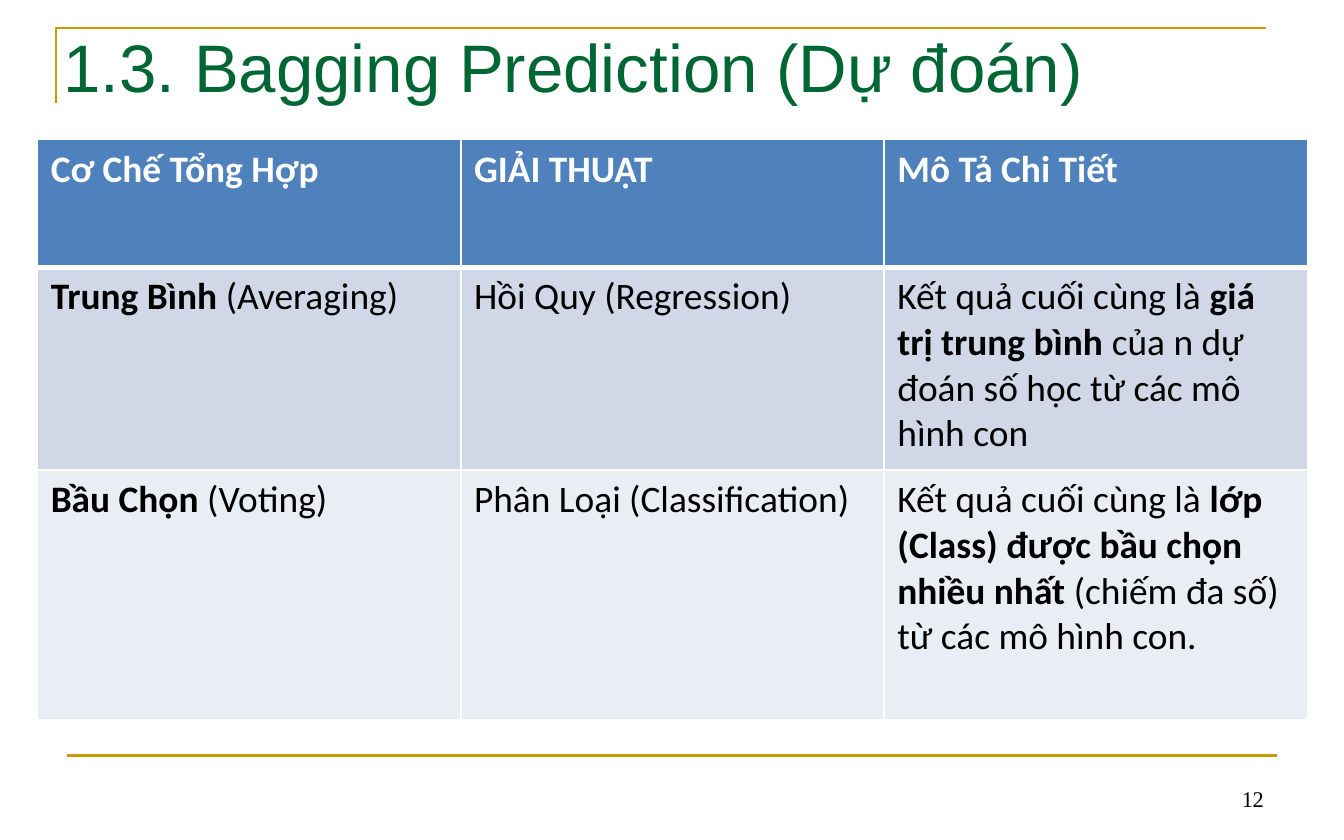
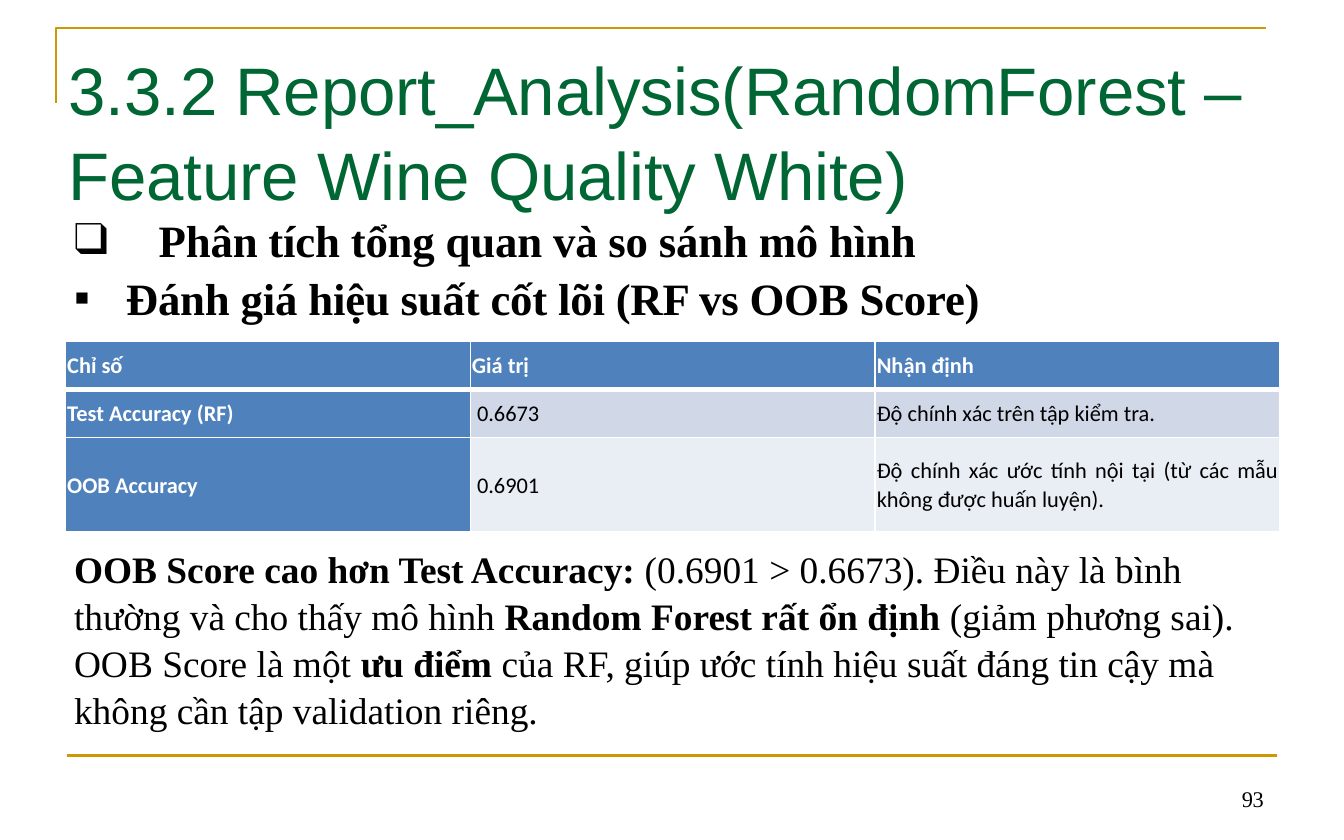
from lxml import etree
from pptx import Presentation
from pptx.dml.color import RGBColor
from pptx.enum.shapes import MSO_CONNECTOR
from pptx.enum.text import MSO_ANCHOR, PP_ALIGN
from pptx.oxml.ns import qn
from pptx.util import Cm, Pt

STRAIGHT = MSO_CONNECTOR.STRAIGHT
LEFT, JUSTIFY = PP_ALIGN.LEFT, PP_ALIGN.JUSTIFY
TOP, MIDDLE = MSO_ANCHOR.TOP, MSO_ANCHOR.MIDDLE

COLORS = {
    "rule": "CC9900",
    "title": "006633",
    "text": "000000",
    "white": "FFFFFF",
    "header": "4F81BD",
    "band_dark": "D0D8E8",
    "band_light": "E9EDF4",
}
TITLE_FONT, TABLE_FONT, BODY_FONT = "Arial", "Calibri", "Times New Roman"
BODY_SPACING = 1.05


def color(name):
    return RGBColor.from_string(COLORS[name])


def add_spans(para, text, font, size, ink="text", bold=False, tracking=0):
    """Text between asterisks is bold."""
    for index, piece in enumerate(text.split("*")):
        if not piece:
            continue
        span = para.add_run()
        span.text = piece
        span.font.name = font
        span.font.size = Pt(size)
        span.font.bold = bold or index % 2 == 1
        span.font.color.rgb = color(ink)
        if tracking:
            span._r.get_or_add_rPr().set("spc", str(tracking))


def add_box(page, left, top, width, height, margin_left=0.03, margin_top=0.03):
    box = page.shapes.add_textbox(Cm(left), Cm(top), Cm(width), Cm(height))
    frame = box.text_frame
    frame.word_wrap = True
    frame.margin_left, frame.margin_top = Cm(margin_left), Cm(margin_top)
    frame.margin_right = frame.margin_bottom = 0
    return frame


def add_frame_lines(page):
    builder = page.shapes.build_freeform(Cm(1.06), Cm(1.94))
    builder.add_line_segments([(Cm(1.06), Cm(0.53)), (Cm(23.92), Cm(0.53))], close=False)
    corner = builder.convert_to_shape()
    corner.shadow.inherit = False
    corner.fill.background()
    base = page.shapes.add_connector(STRAIGHT, Cm(1.27), Cm(14.28), Cm(24.13), Cm(14.28))
    etree.SubElement(base._element.spPr, qn("a:effectLst"))
    for rule in (corner, base):
        rule.line.color.rgb = color("rule")
        rule.line.width = Pt(1.5)


def add_title(page, text, left, top, height, tracking=0):
    para = add_box(page, left, top, 23.9, height).paragraphs[0]
    para.line_spacing = BODY_SPACING
    add_spans(para, text, TITLE_FONT, 36, "title", tracking=tracking)


def add_page_number(page, number):
    para = add_box(page, 23.37, 14.86, 0.64, 0.56, 0.1, 0).paragraphs[0]
    para.line_spacing = Pt(13.8)
    add_spans(para, str(number), BODY_FONT, 12, tracking=-20)


def add_page(deck, title, left, top, height, number, tracking=0):
    page = deck.slides.add_slide(deck.slide_layouts[6])
    add_frame_lines(page)
    add_title(page, title, left, top, height, tracking)
    add_page_number(page, number)
    return page


def set_bullet(para, symbol, indent):
    properties = para._p.get_or_add_pPr()
    properties.set("marL", str(Cm(indent)))
    properties.set("indent", str(-Cm(indent)))
    etree.SubElement(properties, qn("a:buFont"), typeface=BODY_FONT)
    etree.SubElement(properties, qn("a:buChar"), char=symbol)


def add_bullets(page, bullets):
    frame = add_box(page, 1.37, 3.94, 22.63, 2.3)
    for index, (symbol, indent, text) in enumerate(bullets):
        para = frame.add_paragraph() if index else frame.paragraphs[0]
        set_bullet(para, symbol, indent)
        para.line_spacing = BODY_SPACING
        if index:
            para.space_before = Pt(1)
        add_spans(para, text, BODY_FONT, 24, bold=True, tracking=-10)


def add_conclusion(page, text):
    para = add_box(page, 1.37, 10.26, 22.63, 3.4).paragraphs[0]
    para.line_spacing = BODY_SPACING
    add_spans(para, text, BODY_FONT, 20)


def set_borders(cell, bottom_width):
    properties = cell._tc.get_or_add_tcPr()
    widths = {"lnL": 1, "lnR": 1, "lnT": 1, "lnB": bottom_width}
    for index, (side, width) in enumerate(widths.items()):
        line = etree.Element(qn(f"a:{side}"), w=str(Pt(width)))
        fill = etree.SubElement(line, qn("a:solidFill"))
        etree.SubElement(fill, qn("a:srgbClr"), val=COLORS["white"])
        properties.insert(index, line)


def add_table(page, rows, left, top, column_width, heights, size,
              margins=(0.25, 0.13), align=LEFT, anchor=TOP, spacing=1.0, header_column=False):
    columns = len(rows[0])
    table = page.shapes.add_table(len(rows), columns, Cm(left), Cm(top),
                                  Cm(column_width * columns), Cm(sum(heights))).table
    table.first_col = header_column
    for column in table.columns:
        column.width = Cm(column_width)
    for row_index, (texts, height) in enumerate(zip(rows, heights)):
        table.rows[row_index].height = Cm(height)
        band = "band_dark" if row_index % 2 else "band_light"
        for column_index, text in enumerate(texts):
            is_header = row_index == 0 or (header_column and column_index == 0)
            cell = table.cell(row_index, column_index)
            cell.fill.solid()
            cell.fill.fore_color.rgb = color("header" if is_header else band)
            cell.margin_left = cell.margin_right = Cm(margins[0])
            cell.margin_top = cell.margin_bottom = Cm(margins[1])
            cell.vertical_anchor = anchor
            set_borders(cell, 1 if row_index else 3)
            para = cell.text_frame.paragraphs[0]
            para.alignment = align
            para.line_spacing = spacing
            add_spans(para, text, TABLE_FONT, size, "white" if is_header else "text", is_header)


def build_prediction_page(deck):
    page = add_page(deck, "1.3. Bagging Prediction (Dự đoán)", 1.17, 0.38, 1.57, 12)
    rows = [
        ("Cơ Chế Tổng Hợp", "GIẢI THUẬT", "Mô Tả Chi Tiết"),
        ("*Trung Bình* (Averaging)", "Hồi Quy (Regression)",
         "Kết quả cuối cùng là *giá trị trung bình *của n dự đoán số học từ các mô hình con"),
        ("*Bầu Chọn* (Voting)", "Phân Loại (Classification)",
         "Kết quả cuối cùng là *lớp (Class) được bầu chọn nhiều nhất* "
         "(chiếm đa số) từ các mô hình con."),
    ]
    add_table(page, rows, 0.71, 2.64, 8, (2.41, 3.84, 4.72), 20)


def build_report_page(deck):
    page = add_page(deck, "3.3.2 Report_Analysis(RandomForest – Feature Wine Quality White)",
                    1.27, 0.81, 3.12, 93, tracking=-10)
    add_bullets(page, [
        ("❑", 1.6, "Phân tích tổng quan và so sánh mô hình"),
        ("▪", 0.98, "Đánh giá hiệu suất cốt lõi (RF vs OOB Score)"),
    ])
    rows = [
        ("Chỉ số", "Giá trị", "Nhận định"),
        ("Test Accuracy (RF)", " 0.6673", "Độ chính xác trên tập kiểm tra."),
        ("OOB Accuracy", " 0.6901",
         "Độ chính xác ước tính nội tại (từ các mẫu không được huấn luyện)."),
    ]
    add_table(page, rows, 1.24, 6.45, 7.65, (0.91, 0.91, 1.78), 12, (0.03, 0.03),
              JUSTIFY, MIDDLE, 1.07, header_column=True)
    add_conclusion(page, "*OOB Score cao hơn Test Accuracy:* (0.6901 > 0.6673). Điều này là bình "
                         "thường và cho thấy mô hình *Random Forest rất ổn định* (giảm phương "
                         "sai). OOB Score là một *ưu điểm* của RF, giúp ước tính hiệu suất "
                         "đáng tin cậy mà không cần tập validation riêng.")


def main():
    deck = Presentation()
    deck.slide_width, deck.slide_height = Cm(25.4), Cm(15.88)
    build_prediction_page(deck)
    build_report_page(deck)
    deck.save("out.pptx")


if __name__ == "__main__":
    main()
